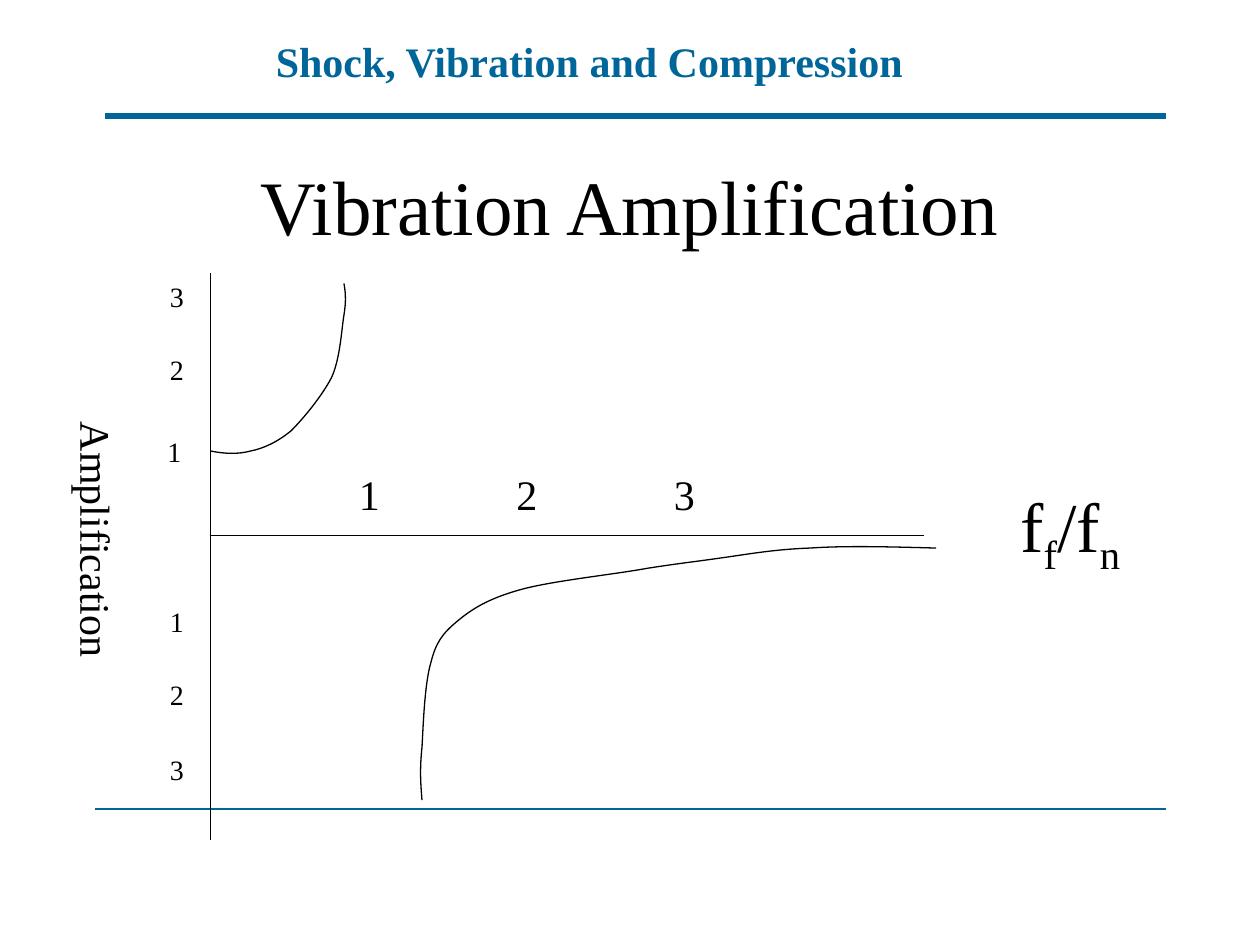
from lxml import etree
from pptx import Presentation
from pptx.dml.color import RGBColor
from pptx.enum.shapes import MSO_CONNECTOR
from pptx.enum.text import MSO_ANCHOR, MSO_AUTO_SIZE, PP_ALIGN
from pptx.oxml.ns import qn
from pptx.util import Inches, Pt

STRAIGHT = MSO_CONNECTOR.STRAIGHT
MIDDLE, CENTER = MSO_ANCHOR.MIDDLE, PP_ALIGN.CENTER
GROW = MSO_AUTO_SIZE.SHAPE_TO_FIT_TEXT
BLUE, BLACK = "006699", "000000"
FACE = "Times New Roman"

# Each curve is a start point followed by cubic segments of three points.
RISE = [(1.67, 3.58),
        (1.77, 3.6), (1.88, 3.61), (1.99, 3.58),
        (2.09, 3.56), (2.2, 3.51), (2.31, 3.42),
        (2.41, 3.32), (2.55, 3.15), (2.63, 3),
        (2.7, 2.85), (2.71, 2.62), (2.73, 2.5),
        (2.75, 2.38), (2.74, 2.31), (2.73, 2.25)]
DECAY = [(3.35, 6.35),
         (3.34, 6.23), (3.33, 6.11), (3.35, 5.93),
         (3.36, 5.75), (3.37, 5.43), (3.42, 5.26),
         (3.46, 5.1), (3.51, 5.03), (3.63, 4.93),
         (3.75, 4.83), (3.88, 4.75), (4.13, 4.68),
         (4.38, 4.61), (4.87, 4.56), (5.14, 4.51),
         (5.4, 4.47), (5.5, 4.46), (5.71, 4.43),
         (5.93, 4.4), (6.14, 4.36), (6.43, 4.35),
         (6.71, 4.33), (7.07, 4.34), (7.43, 4.35)]


def paint(color, hue):
    color.rgb = RGBColor.from_string(hue)


def add_run(para, text, size, hue=BLACK, bold=False, base=0):
    run = para.add_run()
    run.text = text
    look = {"name": FACE, "size": Pt(size), "bold": bold}
    for key, val in look.items():
        setattr(run.font, key, val)
    paint(run.font.color, hue)
    if base:
        run.font._element.set("baseline", str(base * 1000))


def add_label(slide, box, runs, size, wrap=False, **look):
    """Add a text box; runs are (text, baseline percent) pairs."""
    frame = slide.shapes.add_textbox(*map(Inches, box)).text_frame
    frame.word_wrap = wrap
    frame.auto_size = GROW
    for text, base in runs:
        add_run(frame.paragraphs[0], text, size, base=base, **look)
    return frame


def add_title(slide, text):
    title = slide.shapes.title
    place = {"left": 0.75, "top": 1, "width": 8.5, "height": 1.25}
    for key, val in place.items():
        setattr(title, key, Inches(val))
    frame = title.text_frame
    frame.vertical_anchor = MIDDLE
    frame.paragraphs[0].alignment = CENTER
    add_run(frame.paragraphs[0], text, 44)


def add_line(slide, ends, hue=BLACK, width=0.75):
    line = slide.shapes.add_connector(STRAIGHT, *map(Inches, ends))
    paint(line.line.color, hue)
    line.line.width = Pt(width)
    etree.SubElement(line._element.spPr, qn("a:effectLst"))


def add_curve(slide, points):
    """Draw the points as straight steps, then join each three as a cubic."""
    start, *rest = [(Inches(x), Inches(y)) for x, y in points]
    pen = slide.shapes.build_freeform(*start)
    pen.add_line_segments(rest, close=False)
    curve = pen.convert_to_shape()
    curve.shadow.inherit = False
    curve.fill.background()
    paint(curve.line.color, BLACK)
    curve.line.width = Pt(0.75)
    steps = list(curve._element.iter(qn("a:lnTo")))
    for i in range(0, len(steps), 3):
        cubic = etree.Element(qn("a:cubicBezTo"))
        steps[i].addprevious(cubic)
        for step in steps[i:i + 3]:
            cubic.append(step[0])
            step.getparent().remove(step)


def main():
    deck = Presentation()
    deck.slide_width, deck.slide_height = Inches(10), Inches(7.5)
    slide = deck.slides.add_slide(deck.slide_layouts[5])

    add_label(slide, (2.09, 0.23, 5.28, 0.5),
              [("Shock, Vibration and Compression", 0)], 24,
              wrap=True, hue=BLUE, bold=True)
    add_line(slide, (0.83, 0.92, 9.25, 0.92), BLUE, 3)
    add_line(slide, (0.75, 6.42, 9.25, 6.42), BLUE)
    add_title(slide, "Vibration Amplification")

    add_line(slide, (1.67, 4.25, 7.33, 4.25))
    add_line(slide, (1.67, 2.17, 1.67, 6.67))
    for points in (RISE, DECAY):
        add_curve(slide, points)

    for i in range(3):
        add_label(slide, (2.75 + 1.25 * i, 3.67, 0.37, 0.5),
                  [(str(i + 1), 0)], 24)
    ticks = [(1.23, 3.4, "1"), (1.25, 2.75, "2"), (1.25, 2.17, "3"),
             (1.25, 4.75, "1"), (1.25, 5.33, "2"), (1.25, 5.92, "3")]
    for x, y, text in ticks:
        add_label(slide, (x, y, 0.31, 0.37), [(text, 0)], 16)

    add_label(slide, (8, 3.78, 1.04, 0.77),
              [("f", 0), ("f", -25), ("/f", 0), ("n", -25)], 40)
    side = add_label(slide, (0.42, 3.25, 0.6, 1.97),
                     [("Amplification", 0)], 24)
    side._txBody.bodyPr.set("vert", "eaVert")

    deck.save("out.pptx")


if __name__ == "__main__":
    main()
